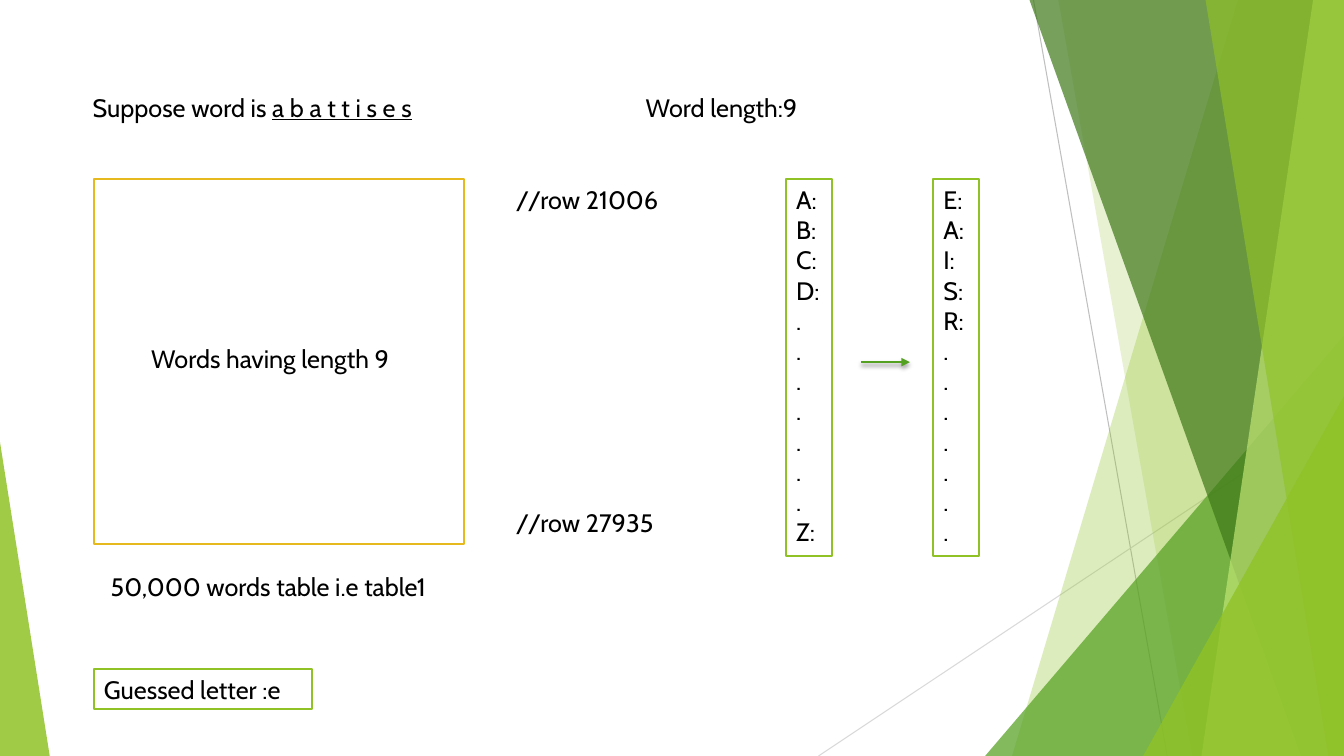
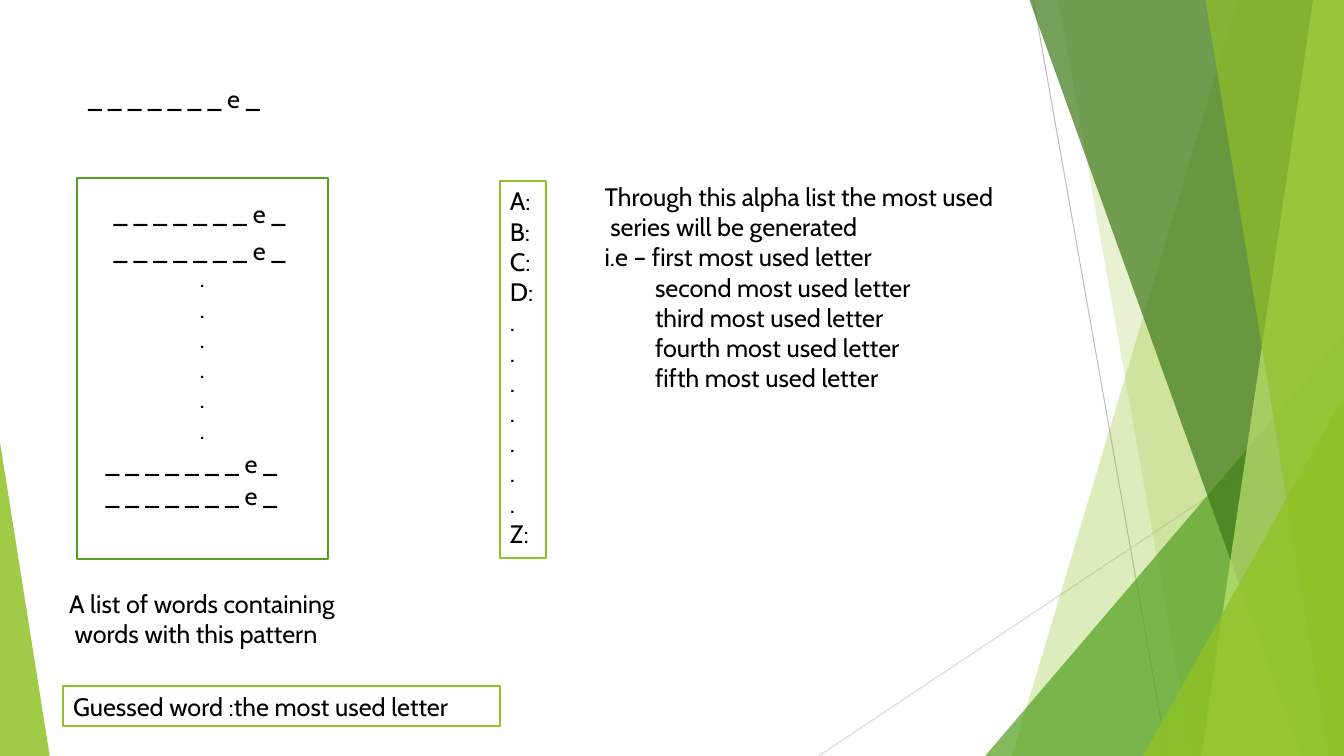
from lxml import etree
from pptx import Presentation
from pptx.dml.color import RGBColor
from pptx.enum.shapes import MSO_CONNECTOR, MSO_SHAPE
from pptx.enum.text import MSO_ANCHOR, PP_ALIGN
from pptx.oxml import parse_xml
from pptx.oxml.ns import nsdecls, qn
from pptx.util import Inches, Pt

WIDE, HIGH = Inches(13.333), Inches(7.5)
FONT, SIZE = "Cabin", Pt(18)
BLACK = RGBColor(0x00, 0x00, 0x00)
WHITE = RGBColor(0xFF, 0xFF, 0xFF)
LIME = RGBColor(0x90, 0xC2, 0x26)
PALE = RGBColor(0xC0, 0xE4, 0x74)
GREEN = RGBColor(0x54, 0xA0, 0x21)
DARK = RGBColor(0x3F, 0x78, 0x19)
GOLD = RGBColor(0xE6, 0xB9, 0x1E)
GRAY = RGBColor(0xBF, 0xBF, 0xBF)
SILVER = RGBColor(0xD9, 0xD9, 0xD9)
RECT, TRI = MSO_SHAPE.RECTANGLE, MSO_SHAPE.ISOSCELES_TRIANGLE
LINE = MSO_CONNECTOR.STRAIGHT
LEFT, CENTER = PP_ALIGN.LEFT, PP_ALIGN.CENTER
TOP, MIDDLE = MSO_ANCHOR.TOP, MSO_ANCHOR.MIDDLE

ROW = 5.3
LIST_W, LIST_H = 3.4, 49.9
ALPHA = ["A:", "B:", "C:", "D:"] + ["."] * 7 + ["Z:"]
USED = ["E:", "A:", "I:", "S:", "R:"] + ["."] * 7
BLANKS = "_ _ _ _ _ _ _ e _"


def px(share):
    """Turn a percentage of the slide's width into a length."""
    return round(WIDE * share / 100)


def py(share):
    """Turn a percentage of the slide's height into a length."""
    return round(HIGH * share / 100)


def place(x, y, w, h):
    """Turn four percentages into left, top, width and height."""
    return px(x), py(y), px(w), py(h)


def tint(shape, color, alpha):
    """Fill a shape with a partly clear colour and no outline."""
    shape.shadow.inherit = False
    shape.line.fill.background()
    shape.fill.solid()
    shape.fill.fore_color.rgb = color
    node = shape.fill._xPr.find(qn("a:solidFill"))[0]
    etree.SubElement(node, qn("a:alpha")).set("val", str(alpha * 1000))


def shard(slide, head, foot, color, alpha):
    """Draw a band from a slanted edge to the slide's right side."""
    form = slide.shapes.build_freeform(px(head), 0, scale=1.0)
    form.add_line_segments([(WIDE, 0), (WIDE, HIGH), (px(foot), HIGH)])
    tint(form.convert_to_shape(), color, alpha)


def wedge(slide, x, y, w, tip, color, alpha):
    """Draw a right triangle that stands on the slide's lower edge."""
    shape = slide.shapes.add_shape(TRI, *place(x, y, w, 100 - y))
    shape.adjustments[0] = tip
    tint(shape, color, alpha)


def rule(slide, start, end, color, width):
    """Draw a straight line without a shadow and return it."""
    line = slide.shapes.add_connector(
        LINE, px(start[0]), py(start[1]), px(end[0]), py(end[1]))
    line.line.color.rgb = color
    line.line.width = Pt(width)
    etree.SubElement(line._element.spPr, qn("a:effectLst"))
    return line


def arrow(slide, start, end):
    """Draw a green arrow with a soft shadow under it."""
    line = rule(slide, start, end, GREEN, 2)
    props = line._element.spPr
    etree.SubElement(props.find(qn("a:ln")), qn("a:tailEnd")).set("type", "triangle")
    props.find(qn("a:effectLst")).append(parse_xml(
        f'<a:outerShdw {nsdecls("a")} blurRad="{Pt(3)}" dist="{Pt(2)}" '
        'dir="5400000" rotWithShape="0"><a:srgbClr val="000000">'
        '<a:alpha val="35000"/></a:srgbClr></a:outerShdw>'))


def write(frame, lines, under="", align=LEFT, anchor=TOP, inset=0, wrap=False):
    """Fill a frame with lines, the last inset ones indented."""
    frame.word_wrap = wrap
    frame.vertical_anchor = anchor
    for i, line in enumerate(lines):
        para = frame.add_paragraph() if i else frame.paragraphs[0]
        para.alignment = align
        if i >= len(lines) - inset:
            para._p.get_or_add_pPr().set("marL", str(Inches(0.5)))
        for part in filter(None, (line, under)):
            run = para.add_run()
            run.text = part
            run.font.name, run.font.size = FONT, SIZE
            run.font.color.rgb = BLACK
            if part == under:
                run.font.underline = True


def label(slide, x, y, w, *lines, **style):
    """Add a text box as high as its lines."""
    box = slide.shapes.add_textbox(*place(x, y, w, ROW * len(lines)))
    write(box.text_frame, lines, **style)


def panel(slide, x, y, w, h, color, *lines, **style):
    """Add a white outlined box, with text if given, and return it."""
    box = slide.shapes.add_shape(RECT, *place(x, y, w, h))
    box.shadow.inherit = False
    box.fill.solid()
    box.fill.fore_color.rgb = WHITE
    box.line.color.rgb = color
    box.line.width = Pt(1.5)
    write(box.text_frame, lines, **style)
    return box


def decor(slide):
    """Draw the lines, bands and wedges that all slides share."""
    rule(slide, (76.9, 0), (86.85, 100), GRAY, 0.75)
    rule(slide, (100, 53.7), (60.9, 100), SILVER, 0.75)
    shard(slide, 92.1, 75.3, LIME, 30)
    shard(slide, 78.75, 88.7, LIME, 20)
    wedge(slide, 73.3, 44.4, 26.7, 1, GREEN, 72)
    shard(slide, 76.6, 96.8, DARK, 70)
    shard(slide, 97.7, 89.4, PALE, 70)
    shard(slide, 89.7, 98.85, LIME, 65)
    wedge(slide, 85.05, 52.4, 14.95, 1, LIME, 80)
    wedge(slide, 0, 58.5, 3.7, 0, LIME, 85)


def lookup(slide):
    """Show the word table and the sorted letter lists."""
    top = 23.7
    label(slide, 6.15, 11.5, 49.9, "Suppose word is ", under="a b a t t i s e s")
    label(slide, 47.3, 11.5, 13.6, "Word length:9")
    panel(slide, 7, top, 27.5, 48.3, GOLD)
    label(slide, 10.5, 44.7, 20.5, "Words having length 9")
    panel(slide, 58.5, top, LIST_W, LIST_H, LIME, *ALPHA)
    label(slide, 37.65, top, 12.2, "//row 21006")
    label(slide, 37.65, 66.4, 12.2, "//row 27935")
    label(slide, 7.5, 74.9, 26.5, "50,000 words table i.e table1")
    arrow(slide, (64.1, 47.9), (67.7, 47.9))
    panel(slide, 69.45, top, LIST_W, LIST_H, LIME, *USED)
    panel(slide, 7, 88.5, 16.2, ROW, LIME, "Guessed letter :e")


def match(slide):
    """Show the words that fit the pattern and the next guess."""
    label(slide, 5.8, 10.4, 15.1, BLANKS)
    words = panel(slide, 5.7, 23.6, 18.7, 50.3, GREEN, *["."] * 6,
                  align=CENTER, anchor=MIDDLE, wrap=True)
    words.text_frame.margin_bottom = Inches(0.35)
    for x, y in ((7.7, 25.6), (7.7, 30.5), (7.1, 58.7), (7.1, 62.9)):
        label(slide, x, y, 15.1, BLANKS)
    label(slide, 4.4, 77.1, 22.9, "A list of words containing",
          " words with this pattern")
    panel(slide, 37.2, 23.9, LIST_W, LIST_H, LIME, *ALPHA)
    label(slide, 44.25, 23.3, 33, "Through this alpha list the most used",
          " series will be generated", "i.e – first most used letter",
          *(f"{rank} most used letter"
            for rank in ("second", "third", "fourth", "fifth")), inset=4)
    panel(slide, 4.7, 90.8, 32.5, ROW, LIME, "Guessed word :the most used letter")


def main():
    """Build both slides and save them."""
    deck = Presentation()
    deck.slide_width, deck.slide_height = WIDE, HIGH
    for build in (lookup, match):
        slide = deck.slides.add_slide(deck.slide_layouts[6])
        decor(slide)
        build(slide)
    deck.save("out.pptx")


if __name__ == "__main__":
    main()
